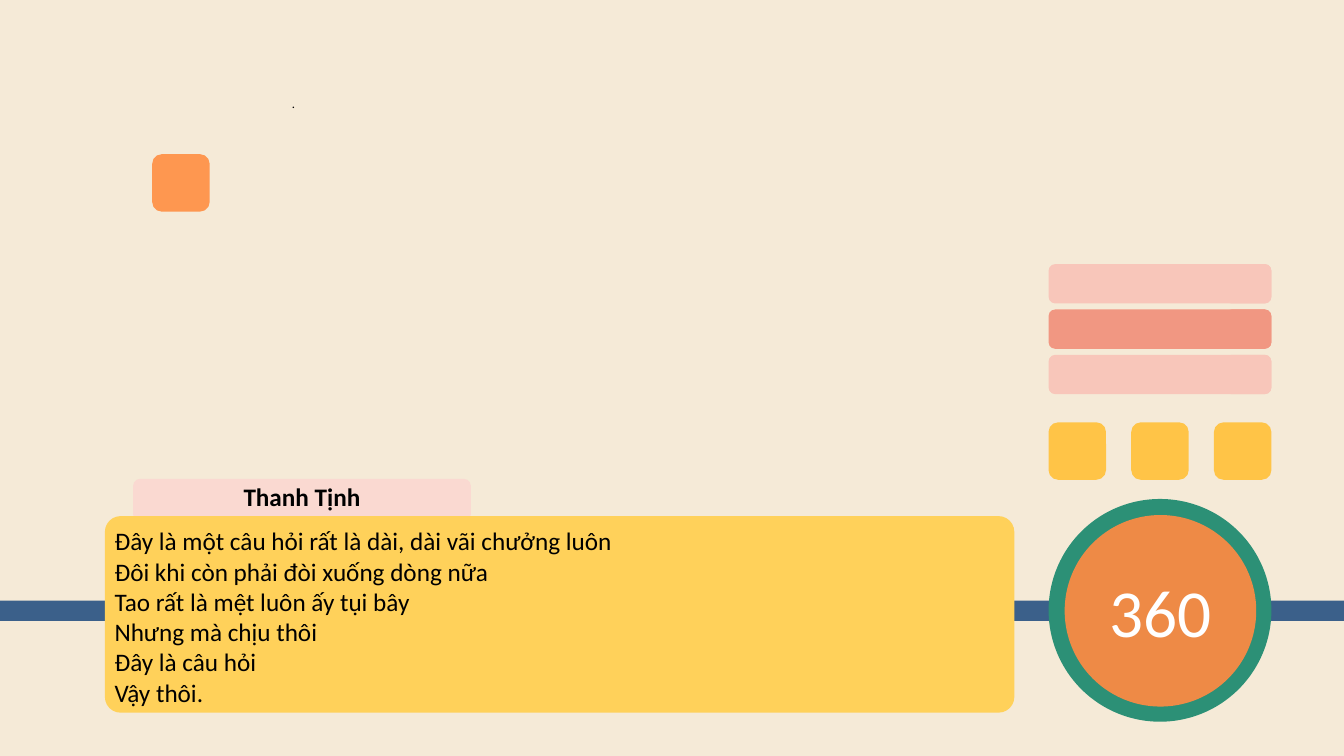
from dataclasses import dataclass
from typing import Optional

from pptx import Presentation
from pptx.dml.color import RGBColor
from pptx.enum.shapes import MSO_SHAPE as Shape
from pptx.enum.text import MSO_ANCHOR as Anchor, MSO_AUTO_SIZE as AutoSize, PP_ALIGN as Align
from pptx.util import Inches, Pt


@dataclass(frozen=True)
class Theme:
    font: str = "Calibri"
    background: str = "F5EAD7"
    band: str = "3B608A"
    bar: str = "F8C6BA"
    bar_active: str = "F19782"
    name_tab: str = "FAD9D1"
    question: str = "FFD15A"
    tile: str = "FFC447"
    marker: str = "FE9750"
    ring: str = "2C9076"
    dial: str = "EE8A46"
    dark: str = "000000"
    light: str = "FFFFFF"
    title_size: int = 9
    text_size: int = 18
    score_size: int = 48


@dataclass(frozen=True)
class Block:
    left: float
    top: float
    width: float
    height: float
    fill: str
    kind: Shape = Shape.ROUNDED_RECTANGLE
    corner: Optional[float] = None


THEME = Theme()
PLAYER = "Thanh Tịnh"
QUESTION = [
    "Đây là một câu hỏi rất là dài, dài vãi chưởng luôn",
    "Đôi khi còn phải đòi xuống dòng nữa",
    "Tao rất là mệt luôn ấy tụi bây",
    "Nhưng mà chịu thôi",
    "Đây là câu hỏi",
    "Vậy thôi.",
]
PANEL_LEFT, PANEL_WIDTH = 10.4, 2.21
TILE = 0.57


def add_block(shapes, block: Block):
    sp = shapes.add_shape(block.kind, Inches(block.left), Inches(block.top),
                          Inches(block.width), Inches(block.height))
    sp.shadow.inherit = False
    sp.fill.solid()
    sp.fill.fore_color.rgb = RGBColor.from_string(block.fill)
    sp.line.fill.background()
    if block.corner is not None:
        sp.adjustments[0] = block.corner
    return sp


def write(tf, lines: list[str], size: int, align: Align, anchor: Anchor = Anchor.TOP,
          inset: float = 0.05, color: str = THEME.dark, bold: bool = False) -> None:
    tf.word_wrap = True
    tf.auto_size = AutoSize.NONE
    tf.vertical_anchor = anchor
    tf.margin_left = tf.margin_right = tf.margin_top = tf.margin_bottom = Inches(inset)
    for i, line in enumerate(lines):
        p = tf.paragraphs[0] if i == 0 else tf.add_paragraph()
        p.alignment = align
        r = p.add_run()
        r.text = line
        r.font.name = THEME.font
        r.font.size = Pt(size)
        r.font.bold = bold
        r.font.color.rgb = RGBColor.from_string(color)


def add_title(s) -> None:
    title = s.shapes.title
    title.left, title.top = Inches(0.15), Inches(0.72)
    title.width, title.height = Inches(5.52), Inches(0.43)
    write(title.text_frame, ["."], THEME.title_size, Align.CENTER, Anchor.BOTTOM)
    title.text_frame.paragraphs[0].line_spacing = 0.9
    for ph in list(s.placeholders):
        if not ph.text_frame.text:
            ph.element.getparent().remove(ph.element)


def add_question(s) -> None:
    add_block(s.shapes, Block(1.32, 4.75, 3.35, 0.42, THEME.name_tab))
    name = s.shapes.add_textbox(Inches(1.32), Inches(4.78), Inches(3.35), Inches(0.3))
    write(name.text_frame, [PLAYER], THEME.text_size, Align.CENTER, inset=0, bold=True)
    box = add_block(s.shapes, Block(1.04, 5.12, 9.02, 1.95, THEME.question, corner=0.08))
    write(box.text_frame, QUESTION, THEME.text_size, Align.LEFT)


def add_panel(s) -> None:
    # Answer bars, each with an end cap flush right
    for row, fill in enumerate((THEME.bar, THEME.bar_active, THEME.bar)):
        for width in (PANEL_WIDTH, 0.46):
            left = PANEL_LEFT + PANEL_WIDTH - width
            add_block(s.shapes, Block(left, 2.62 + 0.45 * row, width, 0.39, fill))

    # Tiles spread evenly over the panel width
    for col in range(3):
        left = PANEL_LEFT + col * (PANEL_WIDTH - TILE) / 2
        add_block(s.shapes, Block(left, 4.19, TILE, TILE, THEME.tile))

    # Score dial
    dial = s.shapes.add_group_shape().shapes
    add_block(dial, Block(PANEL_LEFT, 4.95, PANEL_WIDTH, PANEL_WIDTH, THEME.ring, Shape.OVAL))
    score = add_block(dial, Block(10.56, 5.11, 1.9, 1.9, THEME.dial, Shape.OVAL))
    write(score.text_frame, ["360"], THEME.score_size, Align.CENTER, Anchor.MIDDLE,
          color=THEME.light)


def main() -> None:
    prs = Presentation()
    prs.slide_width, prs.slide_height = Inches(13.33), Inches(7.5)
    s = prs.slides.add_slide(prs.slide_layouts[0])
    s.background.fill.solid()
    s.background.fill.fore_color.rgb = RGBColor.from_string(THEME.background)

    add_title(s)
    add_block(s.shapes, Block(0, 5.96, 13.33, 0.2, THEME.band, Shape.RECTANGLE))
    add_question(s)
    add_block(s.shapes, Block(1.51, 1.53, TILE, TILE, THEME.marker))
    add_panel(s)
    prs.save("out.pptx")


if __name__ == "__main__":
    main()
